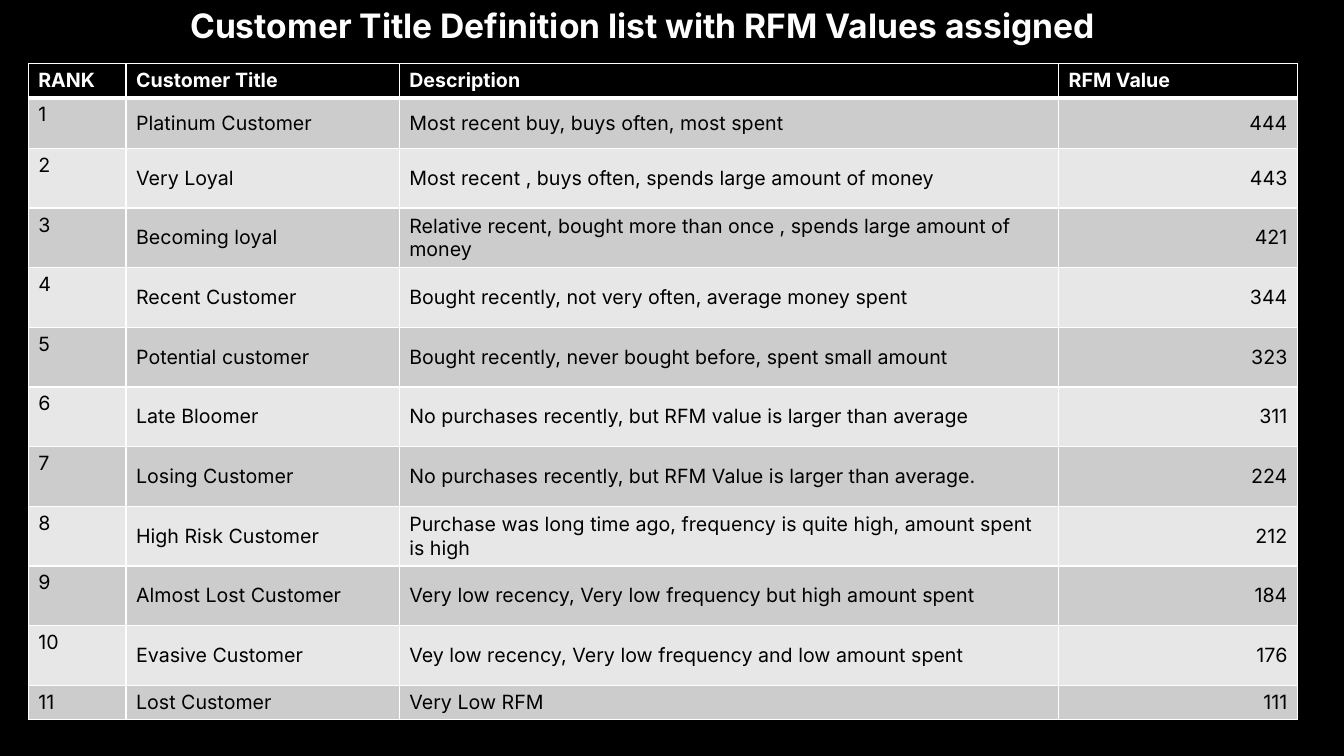
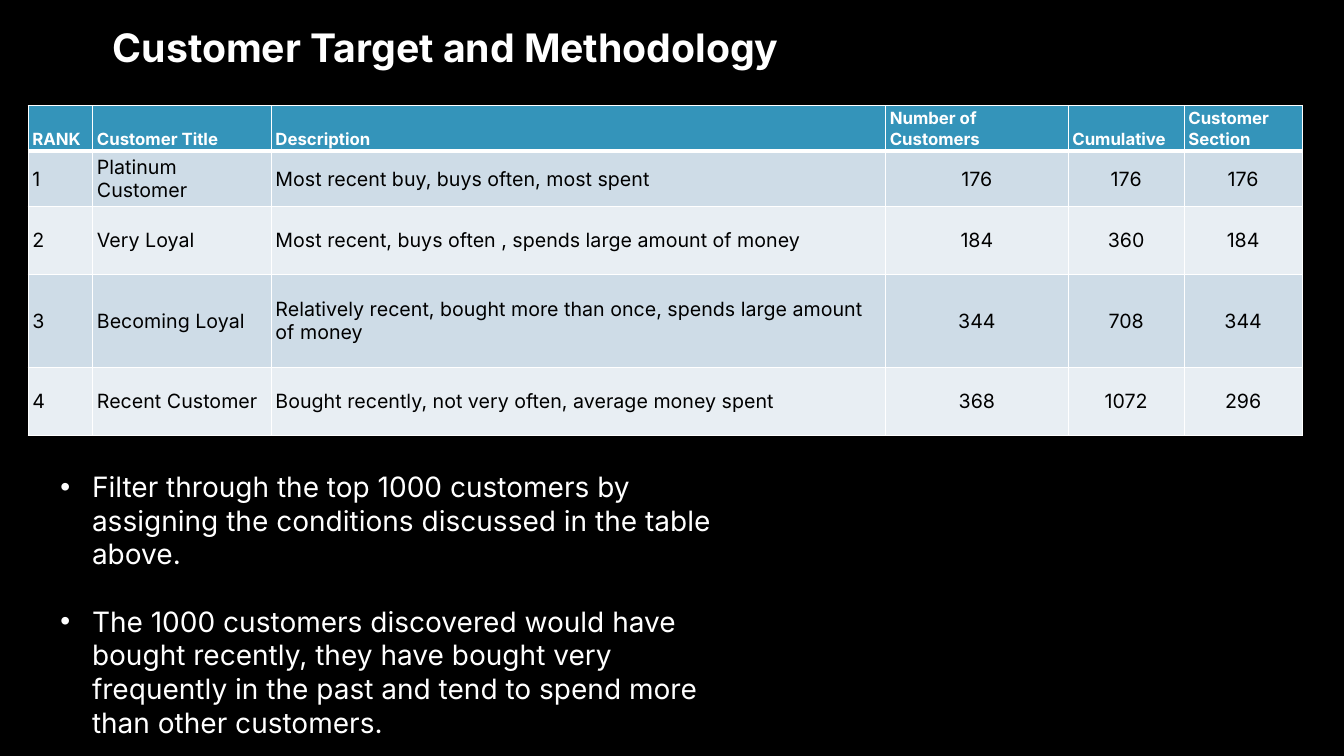
from dataclasses import dataclass

import pptx
import pptx.dml.color
import pptx.enum.text
import pptx.oxml
import pptx.oxml.ns
import pptx.util

Pt = pptx.util.Pt
ALIGN = pptx.enum.text.PP_ALIGN
ANCHOR = pptx.enum.text.MSO_ANCHOR
LEFT, CENTER, RIGHT = ALIGN.LEFT, ALIGN.CENTER, ALIGN.RIGHT

SLIDE_W = pptx.util.Inches(13.33)
SLIDE_H = pptx.util.Inches(7.5)


# Shared look
@dataclass(frozen=True)
class Theme:
    font: str = "Inter"
    background: str = "000000"
    light: str = "FFFFFF"
    dark: str = "000000"
    cell_size: int = 14
    body_size: int = 20
    thin: int = 1
    thick: int = 3


@dataclass(frozen=True)
class TableStyle:
    header: str
    bands: tuple
    header_size: int
    header_anchor: object
    rank_anchor: object
    aligns: tuple
    margins: tuple  # horizontal and vertical, in points


THEME = Theme()
GREY = TableStyle("000000", ("CCCCCC", "E7E7E7"), 14, ANCHOR.TOP, ANCHOR.TOP,
                  (LEFT, LEFT, LEFT, RIGHT), (7.2, 3.6))
BLUE = TableStyle("3494BA", ("CEDCE7", "E8EEF3"), 12, ANCHOR.BOTTOM, ANCHOR.MIDDLE,
                  (LEFT, LEFT, LEFT, CENTER, CENTER, CENTER), (3, 1.5))

# Content
RFM_ROWS = [
    ("RANK", "Customer Title", "Description", "RFM Value"),
    ("1", "Platinum Customer", "Most recent buy, buys often, most spent", "444"),
    ("2", "Very Loyal", "Most recent , buys often, spends large amount of money", "443"),
    ("3", "Becoming loyal",
     "Relative recent, bought more than once , spends large amount of money", "421"),
    ("4", "Recent Customer", "Bought recently, not very often, average money spent", "344"),
    ("5", "Potential customer",
     "Bought recently, never bought before, spent small amount", "323"),
    ("6", "Late Bloomer",
     "No purchases recently, but RFM value is larger than average", "311"),
    ("7", "Losing Customer",
     "No purchases recently, but RFM Value is larger than average.", "224"),
    ("8", "High Risk Customer",
     "Purchase was long time ago, frequency is quite high, amount spent is high", "212"),
    ("9", "Almost Lost Customer",
     "Very low recency, Very low frequency but high amount spent", "184"),
    ("10", "Evasive Customer",
     "Vey low recency, Very low frequency and low amount spent", "176"),
    ("11", "Lost Customer", "Very Low RFM", "111"),
]
TARGET_ROWS = [
    ("RANK", "Customer Title", "Description", "Number of Customers", "Cumulative",
     "Customer Section"),
    ("1", "Platinum Customer", "Most recent buy, buys often, most spent",
     "176", "176", "176"),
    ("2", "Very Loyal", "Most recent, buys often , spends large amount of money",
     "184", "360", "184"),
    ("3", "Becoming Loyal",
     "Relatively recent, bought more than once, spends large amount of money",
     "344", "708", "344"),
    ("4", "Recent Customer", "Bought recently, not very often, average money spent",
     "368", "1072", "296"),
]
METHOD = [
    "Filter through the top 1000 customers by assigning the conditions discussed "
    "in the table above.",
    "The 1000 customers discovered would have bought recently, they have bought very "
    "frequently in the past and tend to spend more than other customers.",
]


def frame(left, top, width, height):
    """Turn percentages of the slide into lengths."""
    return (int(SLIDE_W * left / 100), int(SLIDE_H * top / 100),
            int(SLIDE_W * width / 100), int(SLIDE_H * height / 100))


def place(sp, box):
    sp.left, sp.top, sp.width, sp.height = frame(*box)
    tf = sp.text_frame
    tf.word_wrap = True
    tf.auto_size = pptx.enum.text.MSO_AUTO_SIZE.SHAPE_TO_FIT_TEXT
    tf.vertical_anchor = ANCHOR.TOP
    return tf


def add_text(p, text, size, color, bold=False, align=LEFT):
    p.alignment = align
    r = p.add_run()
    r.text = text
    r.font.name = THEME.font
    r.font.size = Pt(size)
    r.font.bold = bold
    r.font.color.rgb = pptx.dml.color.RGBColor.from_string(color)


def add_title(s, text, box, size, align=LEFT):
    tf = place(s.shapes.title, box)
    add_text(tf.paragraphs[0], text, size, THEME.light, True, align)


def add_bullets(s, items, box):
    tf = place(s.placeholders[1], box)
    indent = Pt(22.5)
    for i, item in enumerate(items):
        p = tf.add_paragraph() if i else tf.paragraphs[0]
        p.space_before = Pt(24 if i else 0)
        pPr = p._p.get_or_add_pPr()
        pPr.set("marL", str(indent))
        pPr.set("indent", str(-indent))
        add_text(p, item, THEME.body_size, THEME.light)


def set_borders(cell, top, bottom):
    tcPr = cell._tc.get_or_add_tcPr()
    sides = (("lnL", THEME.thin), ("lnR", THEME.thin), ("lnT", top), ("lnB", bottom))
    for i, (tag, width) in enumerate(sides):
        tcPr.insert(i, pptx.oxml.parse_xml(
            f'<a:{tag} {pptx.oxml.ns.nsdecls("a")} w="{Pt(width)}"><a:solidFill>'
            f'<a:srgbClr val="{THEME.light}"/></a:solidFill></a:{tag}>'))


def fill_cell(cell, text, row, col, style):
    header = row == 0
    color = style.header if header else style.bands[(row - 1) % 2]
    cell.fill.solid()
    cell.fill.fore_color.rgb = pptx.dml.color.RGBColor.from_string(color)
    cell.margin_left = cell.margin_right = Pt(style.margins[0])
    cell.margin_top = cell.margin_bottom = Pt(style.margins[1])
    p = cell.text_frame.paragraphs[0]
    if header:
        cell.vertical_anchor = style.header_anchor
        add_text(p, text, style.header_size, THEME.light, True)
    else:
        cell.vertical_anchor = ANCHOR.MIDDLE if col else style.rank_anchor
        add_text(p, text, THEME.cell_size, THEME.dark, align=style.aligns[col])
    # The rule under the header is shared with the first row below it
    set_borders(cell, THEME.thick if row == 1 else THEME.thin,
                THEME.thick if header else THEME.thin)


def add_grid(s, rows, box, col_weights, row_weights, style):
    left, top, width, height = frame(*box)
    table = s.shapes.add_table(len(rows), len(col_weights), left, top, width, height).table
    table.horz_banding = False
    for column, weight in zip(table.columns, col_weights):
        column.width = int(width * weight / sum(col_weights))
    for line, weight in zip(table.rows, row_weights):
        line.height = int(height * weight / sum(row_weights))
    for i, values in enumerate(rows):
        for j, text in enumerate(values):
            fill_cell(table.cell(i, j), text, i, j, style)


def main():
    prs = pptx.Presentation()
    prs.slide_width, prs.slide_height = SLIDE_W, SLIDE_H
    fill = prs.slide_master.background.fill
    fill.solid()
    fill.fore_color.rgb = pptx.dml.color.RGBColor.from_string(THEME.background)
    title_and_body, title_only = prs.slide_layouts[1], prs.slide_layouts[5]

    # Customer titles and their RFM values
    s = prs.slides.add_slide(title_only)
    add_title(s, "Customer Title Definition list with RFM Values assigned",
              (7.95, 0, 79.74, 6.67), 24, CENTER)
    add_grid(s, RFM_ROWS, (2.1, 8.4, 94.45, 86.8), (0.97, 2.71, 6.54, 2.37),
             (0.34, 0.5, *[0.59] * 9, 0.34), GREY)

    # Target customers and method
    s = prs.slides.add_slide(title_and_body)
    add_title(s, "Customer Target and Methodology", (7.65, 2.4, 82.5, 7.6), 28)
    add_grid(s, TARGET_ROWS, (2.1, 14, 94.8, 43.6), (0.64, 1.77, 6.09, 1.81, 1.15, 1.17),
             (0.45, 0.55, 0.67, 0.93, 0.67), BLUE)
    add_bullets(s, METHOD, (3.75, 61.47, 50.86, 32.8))

    prs.save("out.pptx")


if __name__ == "__main__":
    main()
